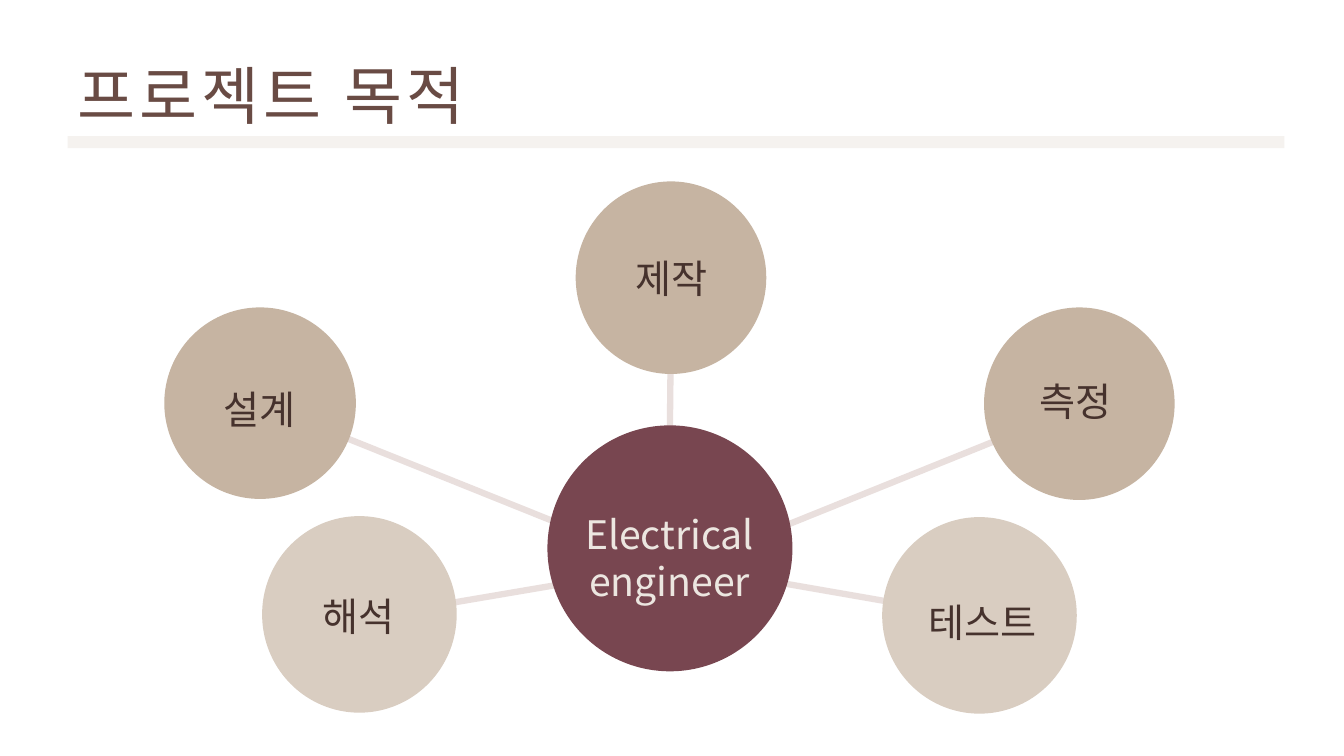
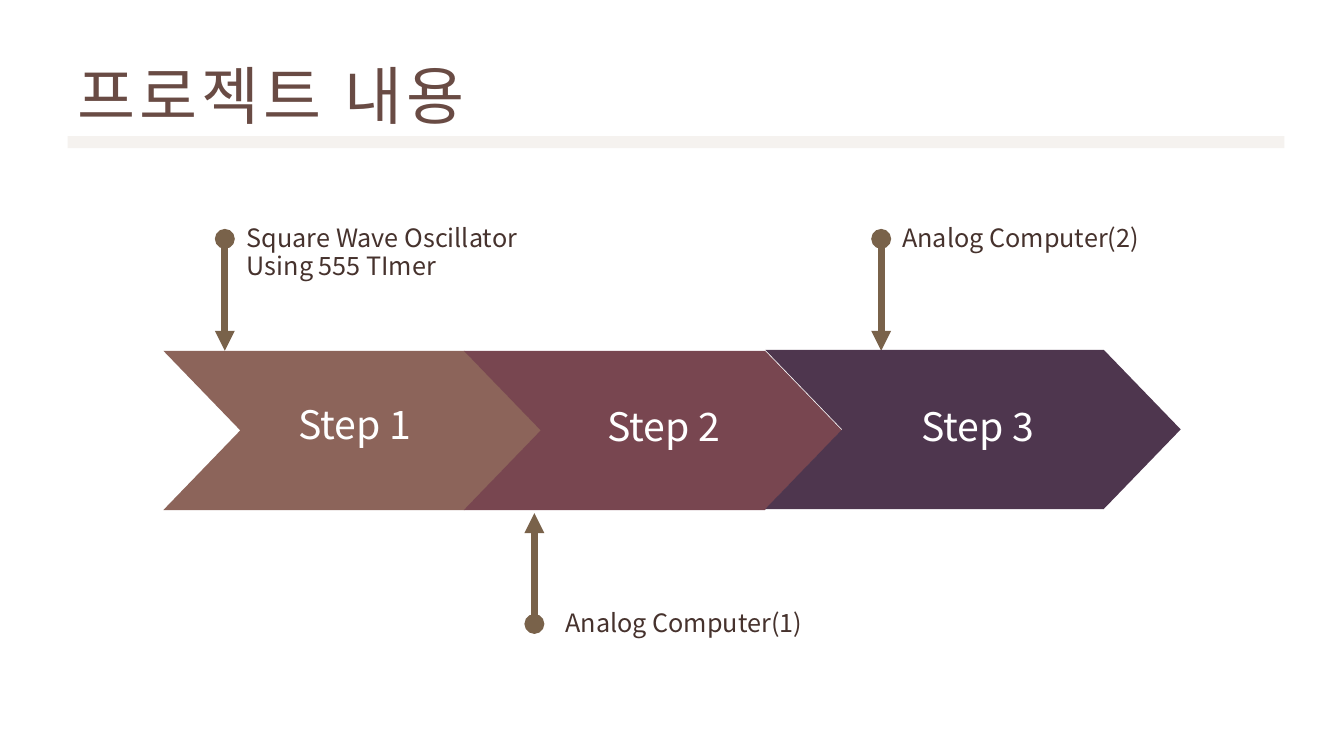
from dataclasses import dataclass

from lxml import etree
from pptx import Presentation
from pptx.dml.color import RGBColor
from pptx.enum.shapes import MSO_CONNECTOR, MSO_SHAPE
from pptx.enum.text import MSO_AUTO_SIZE, PP_ALIGN
from pptx.oxml.ns import qn
from pptx.util import Inches, Pt

STRAIGHT = MSO_CONNECTOR.STRAIGHT
RECTANGLE, OVAL, CHEVRON = MSO_SHAPE.RECTANGLE, MSO_SHAPE.OVAL, MSO_SHAPE.CHEVRON
LEFT, CENTER = PP_ALIGN.LEFT, PP_ALIGN.CENTER
FIT_SHAPE = MSO_AUTO_SIZE.SHAPE_TO_FIT_TEXT


@dataclass(frozen=True)
class Theme:
    font: str = "Noto Sans CJK KR"
    title: str = "694B44"
    band: str = "A08264"
    ink: str = "46322D"
    cream: str = "ECE6E0"
    white: str = "FFFFFF"
    tan: str = "C6B4A2"
    sand: str = "D9CDC1"
    wine: str = "784650"
    clay: str = "8C645A"
    plum: str = "4E364E"
    spoke: str = "E9DFDD"
    pointer: str = "79624A"
    title_size: int = 45
    label_size: int = 28
    note_size: int = 18


THEME = Theme()


def add_filled(slide, kind, left, top, width, height, color):
    shape = slide.shapes.add_shape(
        kind, Inches(left), Inches(top), Inches(width), Inches(height))
    shape.shadow.inherit = False
    shape.fill.solid()
    shape.fill.fore_color.rgb = RGBColor.from_string(color)
    shape.line.fill.background()
    return shape


def add_text(slide, paragraphs, left, top, width, height, size, color,
             align=LEFT, spacing=None, tracking=None):
    box = slide.shapes.add_textbox(
        Inches(left), Inches(top), Inches(width), Inches(height))
    frame = box.text_frame
    frame.word_wrap = True
    frame.auto_size = FIT_SHAPE
    for index, lines in enumerate(paragraphs):
        paragraph = frame.add_paragraph() if index else frame.paragraphs[0]
        paragraph.alignment = align
        if spacing:
            paragraph.line_spacing = Pt(spacing)
        for number, line in enumerate(lines.split("\n")):
            if number:
                paragraph.add_line_break()
            run = paragraph.add_run()
            run.text = line
            run.font.size = Pt(size)
            run.font.name = THEME.font
            run.font.color.rgb = RGBColor.from_string(color)
            properties = run.font._element
            etree.SubElement(properties, qn("a:ea"), typeface=THEME.font)
            if tracking:
                properties.set("spc", str(tracking * 100))


prs = Presentation()
prs.slide_width = Inches(13.33)
prs.slide_height = Inches(7.5)
blank = prs.slide_layouts[6]

purpose = prs.slides.add_slide(blank)
content = prs.slides.add_slide(blank)

for slide, title in [(purpose, "프로젝트 목적"), (content, "프로젝트 내용")]:
    add_text(slide, [title], 0.67, 0.64, 11.58, 0.75, THEME.title_size,
             THEME.title, spacing=45, tracking=3)
    band = add_filled(slide, RECTANGLE, 0.67, 1.35, 12.07, 0.12, THEME.band)
    band_color = band.fill._xPr.find(qn("a:solidFill"))[0]
    etree.SubElement(band_color, qn("a:alpha"), val="10000")

spokes = [
    (2.65, 4.03, 6.63, 5.63),
    (6.63, 5.61, 6.66, 2.74),
    (3.6, 6.13, 6.66, 5.61),
    (6.75, 5.61, 9.74, 6.13),
    (6.66, 5.67, 10.65, 4.06),
]
pointers = [
    (2.23, 3.48, 2.23, 2.37),
    (8.74, 3.48, 8.74, 2.37),
    (5.3, 5.09, 5.3, 6.19),
]
line_groups = [
    (purpose, spokes, THEME.spoke, 4.5, []),
    (content, pointers, THEME.pointer, 4.75,
     [("a:headEnd", "triangle"), ("a:tailEnd", "oval")]),
]
for slide, routes, color, weight, ends in line_groups:
    for route in routes:
        connector = slide.shapes.add_connector(STRAIGHT, *map(Inches, route))
        connector.line.color.rgb = RGBColor.from_string(color)
        connector.line.width = Pt(weight)
        outline = connector.line._get_or_add_ln()
        for tag, end in ends:
            etree.SubElement(outline, qn(tag), type=end)
        etree.SubElement(connector._element.spPr, qn("a:effectLst"))

LABEL_WIDTH = 2.2
skills = [
    (["제작"], 5.71, 1.8, 1.89, 1.91, THEME.tan, THEME.ink, 6.66, 2.47),
    (["Electrical", "engineer"], 5.43, 4.22, 2.43, 2.44, THEME.wine,
     THEME.cream, 6.64, 5.01),
    (["측정"], 9.76, 3.05, 1.89, 1.91, THEME.tan, THEME.ink, 10.67, 3.69),
    (["테스트"], 8.75, 5.13, 1.93, 1.95, THEME.sand, THEME.ink, 9.75, 5.89),
    (["설계"], 1.63, 3.05, 1.9, 1.9, THEME.tan, THEME.ink, 2.57, 3.77),
    (["해석"], 2.6, 5.12, 1.93, 1.95, THEME.sand, THEME.ink, 3.56, 5.83),
]
for words, left, top, width, height, fill, ink, label_center, label_top in skills:
    add_filled(purpose, OVAL, left, top, width, height, fill)
    add_text(purpose, words, label_center - LABEL_WIDTH / 2, label_top,
             LABEL_WIDTH, 0.1 + 0.47 * len(words), THEME.label_size, ink, CENTER)

steps = [
    ("Step 1 ", 1.62, 3.48, 3.75, THEME.clay, 2.65, 4.11, 1.82),
    ("Step 2", 4.6, 3.48, 3.75, THEME.wine, 5.74, 4.13, 1.69),
    ("Step 3", 7.59, 3.47, 4.12, THEME.plum, 8.81, 4.13, 1.78),
]
for name, left, top, width, fill, label_left, label_top, label_width in steps:
    arrow = add_filled(content, CHEVRON, left, top, width, 1.58, fill)
    arrow.adjustments[0] = 0.483
    add_text(content, [name], label_left, label_top, label_width, 0.42,
             THEME.label_size, THEME.white, CENTER, spacing=20)

notes = [
    ("Square Wave Oscillator\nUsing 555 TImer", 2.35, 2.18, 3.75, 0.66),
    ("Analog Computer(2)", 8.85, 2.18, 2.89, 0.38),
    ("Analog Computer(1)", 5.51, 6, 3.66, 0.38),
]
for note, left, top, width, height in notes:
    add_text(content, [note], left, top, width, height, THEME.note_size,
             THEME.ink, spacing=20)

prs.save("out.pptx")
